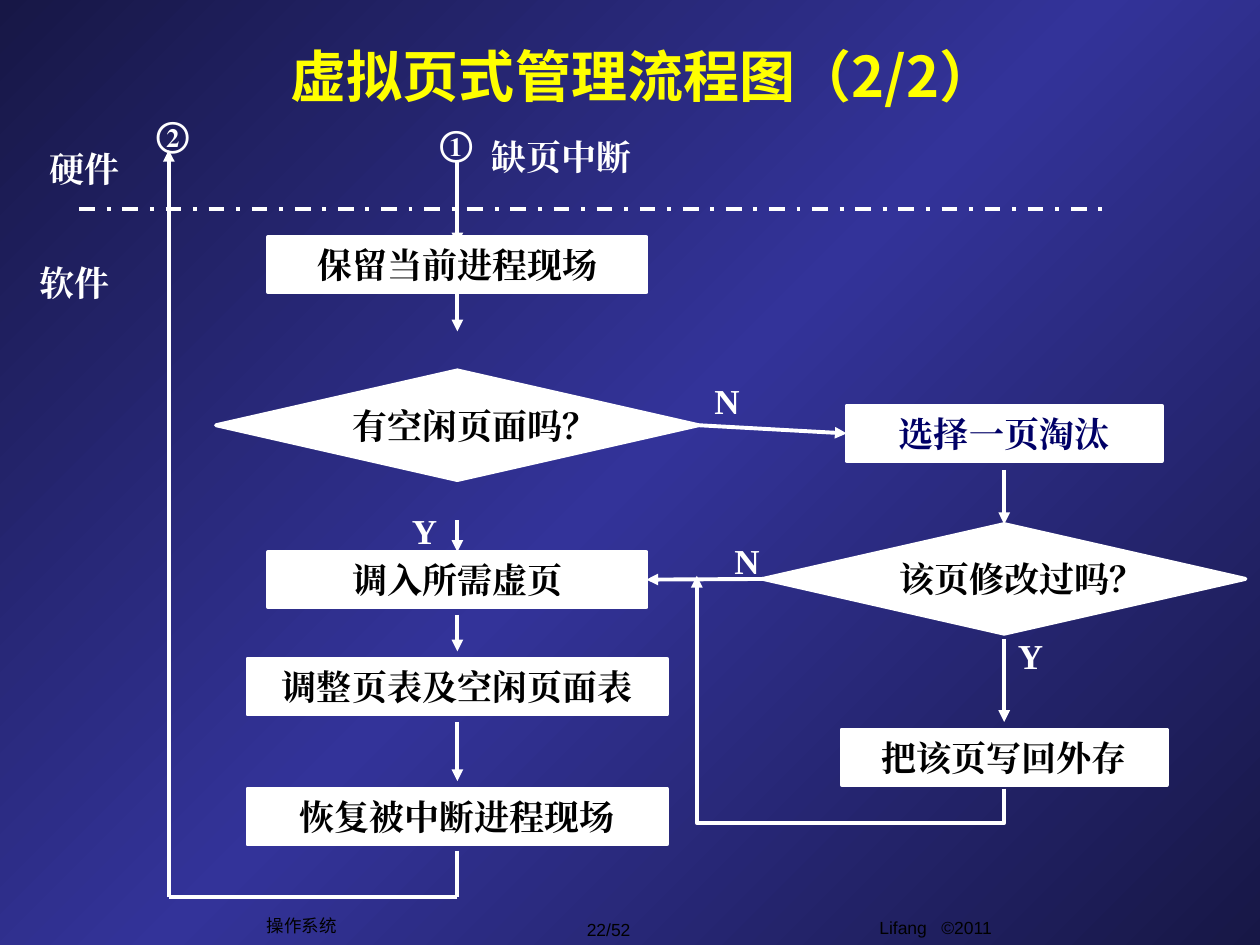
from copy import deepcopy

from pptx import Presentation
from pptx.dml.color import RGBColor
from pptx.enum.dml import MSO_LINE
from pptx.enum.shapes import MSO_CONNECTOR as Link, MSO_SHAPE as Preset
from pptx.enum.text import MSO_ANCHOR as Anchor, MSO_AUTO_SIZE as AutoSize, PP_ALIGN as Align
from pptx.oxml.ns import qn
from pptx.util import Inches, Pt

COLORS = {
    "white": "FFFFFF",
    "black": "000000",
    "navy": "000066",
    "yellow": "FFFF00",
    "edge": "171746",
    "band": "333399",
}
BODY = {"size": Pt(20), "name": "Times New Roman", "bold": True}
TITLE = {"size": Pt(32), "name": "Noto Sans CJK SC", "bold": True}
FOOTER = {"size": Pt(10), "name": "Arial", "bold": False}
TOP, LEFT, BOTTOM, RIGHT = range(4)


def rgb(name):
    return RGBColor.from_string(COLORS[name])


def add_child(parent, tag, **attributes):
    parent.append(parent.makeelement(qn(tag), attributes))


class FlowPage:
    """Holds the style and the slide being drawn."""

    def __init__(self, deck, line_width=2.25):
        self.page = deck.slides.add_slide(deck.slide_layouts[5])
        self.line_width = Pt(line_width)

    def background(self, stops, angle):
        fill = self.page.background.fill
        fill.gradient()
        fill.gradient_angle = angle
        stop_list = self.page._element.xpath(".//a:gsLst")[0]
        stop_list.insert(1, deepcopy(stop_list[0]))
        for stop, (position, color) in zip(fill.gradient_stops, stops):
            stop.position = position
            stop.color.rgb = rgb(color)

    def set_text(self, shape, text, style, color, **frame_values):
        frame = shape.text_frame
        values = {"vertical_anchor": Anchor.MIDDLE, "word_wrap": True,
                  "auto_size": AutoSize.NONE}
        for key, value in (values | frame_values).items():
            setattr(frame, key, value)
        para = frame.paragraphs[0]
        para.alignment = Align.CENTER
        span = para.add_run()
        span.text = text
        for key, value in style.items():
            setattr(span.font, key, value)
        span.font.color.rgb = rgb(color)
        add_child(span.font._element, "a:ea", typeface=style["name"])

    def title(self, text, left, top, width, height):
        holder = self.page.shapes.title
        place = {"left": left, "top": top, "width": width, "height": height}
        for key, value in place.items():
            setattr(holder, key, Inches(value))
        self.set_text(holder, text, TITLE, "yellow")

    def label(self, text, left, top, width, height=0.44, style=BODY,
              color="white", **frame_values):
        box = self.page.shapes.add_textbox(*map(Inches, (left, top, width, height)))
        self.set_text(box, text, style, color, **({"word_wrap": False} | frame_values))

    def node(self, text, center, top, width, height=0.44,
             preset=Preset.FLOWCHART_PROCESS, color="black"):
        shape = self.page.shapes.add_shape(
            preset, *map(Inches, (center - width / 2, top, width, height)))
        shape.shadow.inherit = False
        shape.fill.solid()
        shape.fill.fore_color.rgb = rgb("white")
        shape.line.color.rgb = rgb("white")
        shape.line.width = self.line_width
        self.set_text(shape, text, BODY, color)
        return shape

    def decision(self, text, center, top):
        return self.node(text, center, top, 3.83, 0.87, Preset.FLOWCHART_DECISION)

    def link(self, start, end, arrow=True, dash=None, kind=Link.STRAIGHT):
        """Each end is a point (x, y) or a joint (shape, side)."""
        joined = [not isinstance(spot[0], (int, float)) for spot in (start, end)]
        points = [(0, 0) if glued else spot
                  for glued, spot in zip(joined, (start, end))]
        line = self.page.shapes.add_connector(
            kind, *[Inches(value) for point in points for value in point])
        if joined[0]:
            line.begin_connect(*start)
        if joined[1]:
            line.end_connect(*end)
        line.line.color.rgb = rgb("white")
        line.line.width = self.line_width
        if dash:
            line.line.dash_style = dash
        if arrow:
            add_child(line.line._get_or_add_ln(), "a:tailEnd", type="triangle")
        add_child(line._element.spPr, "a:effectLst")
        return line

    def loop_back(self, start, end, drop):
        """Elbow that dips below its start, then runs left and up to its end."""
        line = self.link(start, end, kind=Link.ELBOW)
        width, height = start[1] - end[1], start[0] - end[0]
        middle_x, middle_y = (start[0] + end[0]) / 2, (start[1] + end[1]) / 2
        place = {"left": middle_x - width / 2, "top": middle_y - height / 2,
                 "width": width, "height": height}
        for key, value in place.items():
            setattr(line, key, Inches(value))
        frame = line._element.spPr.find(qn("a:xfrm"))
        frame.attrib.pop("flipH", None)
        frame.set("rot", str(270 * 60000))
        frame.set("flipV", "1")
        geometry = line._element.spPr.find(qn("a:prstGeom"))
        geometry.set("prst", "bentConnector4")
        guides = geometry.find(qn("a:avLst"))
        for name, share in (("adj1", -drop / width), ("adj2", 1)):
            add_child(guides, "a:gd", name=name, fmla=f"val {round(share * 100000)}")


def main():
    deck = Presentation()
    deck.slide_width, deck.slide_height = Inches(10), Inches(7.5)
    flow = FlowPage(deck)
    flow.background([(0, "edge"), (0.5, "band"), (1, "edge")], 135)
    flow.title("虚拟页式管理流程图（2/2）", 1.02, 0.28, 8.17, 0.63)

    # Footer
    footer = {"style": FOOTER, "color": "black"}
    flow.label("Lifang   ©2011", 5.84, 7.23, 3.17, 0.35,
               word_wrap=True, vertical_anchor=Anchor.TOP, **footer)
    flow.label("22/52", 4.32, 7.24, 1.02, 0.27, **footer)
    flow.label("操作系统", 2.02, 7.21, 0.75, 0.27, **footer)

    # Main column
    main_x, side_x, return_x, return_y = 3.63, 7.97, 1.34, 7.12
    save = flow.node("保留当前进程现场", main_x, 1.88, 3)
    has_free = flow.decision("有空闲页面吗？", main_x, 2.94)
    load = flow.node("调入所需虚页", main_x, 4.38, 3)
    flow.node("调整页表及空闲页面表", main_x, 5.23, 3.33)
    flow.node("恢复被中断进程现场", main_x, 6.26, 3.33)

    # Replacement column
    choose = flow.node("选择一页淘汰", side_x, 3.22, 2.5, color="navy")
    modified = flow.decision("该页修改过吗？", side_x, 4.16)
    flow.node("把该页写回外存", side_x, 5.79, 2.58)

    # Arrows
    for start, end in [
        ((main_x, 1.28), (main_x, 1.94)),
        ((save, BOTTOM), (main_x, 2.63)),
        ((main_x, 4.13), (load, TOP)),
        ((main_x, 4.88), (main_x, 5.17)),
        ((main_x, 5.73), (main_x, 6.2)),
        ((has_free, RIGHT), (choose, LEFT)),
        ((side_x, 3.73), (modified, TOP)),
        ((side_x, 5.07), (side_x, 5.73)),
        ((modified, LEFT), (load, RIGHT)),
        ((return_x, return_y), (return_x, 1.19)),
    ]:
        flow.link(start, end)
    flow.loop_back((side_x, 6.26), (5.53, 4.57), 0.27)

    # Return path and the hardware/software border
    flow.link((main_x, 6.75), (main_x, return_y), arrow=False)
    flow.link((main_x, return_y), (return_x, return_y), arrow=False)
    flow.link((0.63, 1.66), (8.83, 1.66), arrow=False, dash=MSO_LINE.DASH_DOT)

    # Labels
    for text, left, top, width in [
        ("N", 5.57, 2.96, 0.4),
        ("Y", 3.17, 3.99, 0.4),
        ("N", 5.73, 4.23, 0.4),
        ("Y", 7.98, 4.98, 0.4),
        ("缺页中断", 3.8, 1.02, 1.31),
        ("软件", 0.22, 2.02, 0.75),
        ("硬件", 0.3, 1.12, 0.75),
        ("②", 1.13, 0.84, 0.48),
        ("①", 3.38, 0.91, 0.48),
    ]:
        flow.label(text, left, top, width)

    deck.save("out.pptx")


if __name__ == "__main__":
    main()
